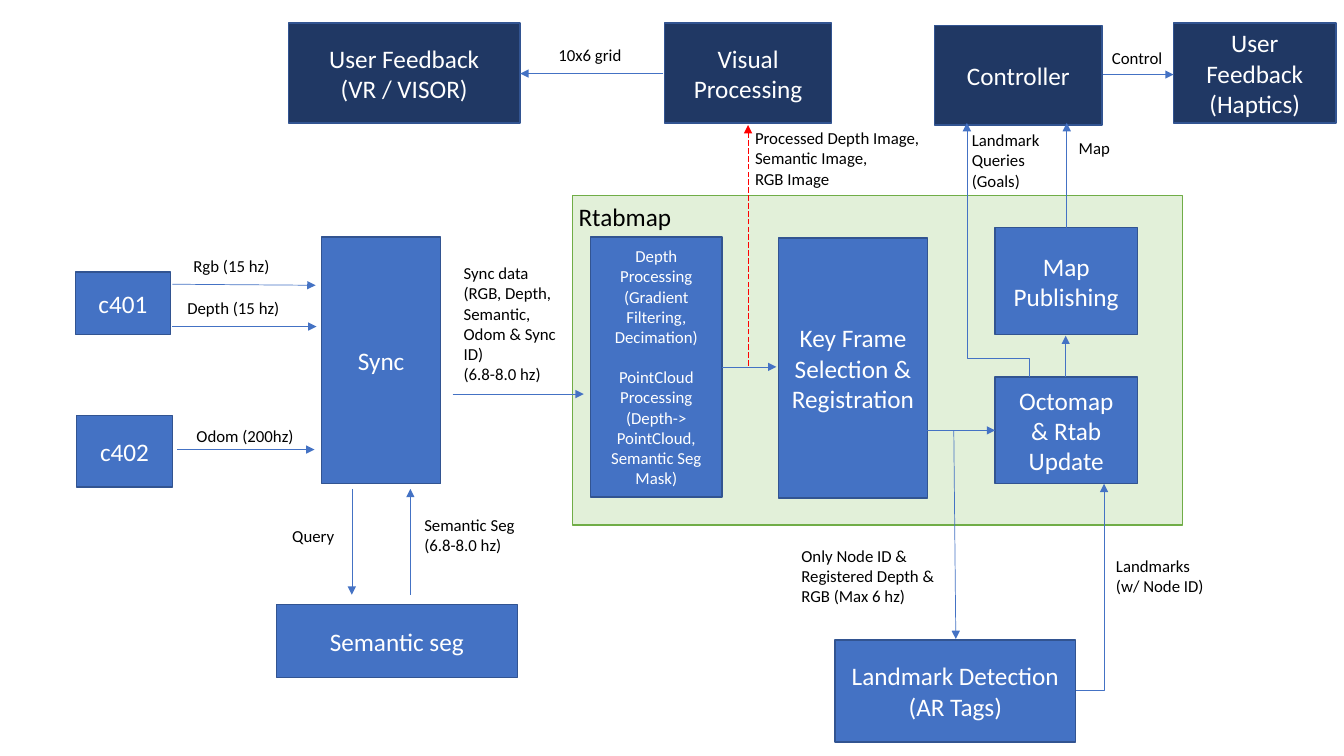
from lxml import etree
from pptx import Presentation
from pptx import util as u
from pptx.dml.color import RGBColor
from pptx.enum import dml, shapes, text
from pptx.oxml.ns import qn

COLORS = {
    "blue": "4472C4", "navy": "203864", "outline": "325491",
    "pale green": "E2F0D9", "green": "70AD47",
    "red": "FF0000", "white": "FFFFFF", "black": "000000",
}


def write(shape, content, size, color, alignment):
    frame = shape.text_frame
    frame.word_wrap = True
    gap = False
    paragraph = frame.paragraphs[0]
    for index, line in enumerate(content.split("\n")):
        if not line:
            gap = True
            continue
        if index:
            paragraph = frame.add_paragraph()
        paragraph.alignment = alignment
        if gap:
            paragraph.space_before = u.Pt(size * 1.2)
            gap = False
        run = paragraph.add_run()
        run.text = line
        run.font.name = "Calibri"
        run.font.size = u.Pt(size)
        run.font.color.rgb = RGBColor.from_string(COLORS[color])


def connect(kind, start, end, color="blue"):
    connector = slide.shapes.add_connector(kind, *(u.Inches(value) for value in start + end))
    connector.line.color.rgb = RGBColor.from_string(COLORS[color])
    connector.line.width = u.Pt(0.5)
    if color == "red":
        connector.line.dash_style = dml.MSO_LINE.LONG_DASH
    properties = connector.element.spPr
    etree.SubElement(properties.find(qn("a:ln")), qn("a:tailEnd"), type="triangle")
    etree.SubElement(properties, qn("a:effectLst"))
    return properties


presentation = Presentation()
presentation.slide_width = u.Inches(13.33)
presentation.slide_height = u.Inches(7.5)
slide = presentation.slides.add_slide(presentation.slide_layouts[6])

depth_steps = (
    "Depth Processing\n(Gradient Filtering, Decimation)\n\n"
    "PointCloud Processing\n(Depth-> PointCloud, Semantic Seg\nMask)"
)
boxes = [
    ("", 5.68, 1.94, 6.05, 3.27, "pale green", "green", 18),
    ("c401", 0.75, 2.7, 0.94, 0.62, "blue", "outline", 18),
    ("c402", 0.76, 4.12, 0.95, 0.71, "blue", "outline", 18),
    ("Sync", 3.19, 2.35, 1.18, 2.45, "blue", "outline", 18),
    ("Semantic seg", 2.74, 6, 2.39, 0.72, "blue", "outline", 18),
    (depth_steps, 5.86, 2.35, 1.3, 2.58, "blue", "outline", 12),
    ("Key Frame Selection & Registration", 7.72, 2.36, 1.48, 2.58, "blue", "outline", 18),
    ("Octomap\n& Rtab\nUpdate", 9.87, 3.74, 1.41, 1.06, "blue", "outline", 18),
    ("Map\nPublishing", 9.87, 2.26, 1.41, 1.06, "blue", "outline", 18),
    ("Landmark Detection\n(AR Tags)", 8.28, 6.35, 2.39, 1.01, "blue", "outline", 18),
    ("User Feedback\n(VR / VISOR)", 2.86, 0.23, 2.3, 0.99, "navy", "outline", 18),
    ("Visual Processing", 6.59, 0.23, 1.66, 0.99, "navy", "outline", 18),
    ("Controller", 9.27, 0.25, 1.66, 0.99, "navy", "outline", 18),
    ("User Feedback\n(Haptics)", 11.64, 0.23, 1.61, 0.99, "navy", "outline", 18),
]
for content, left, top, width, height, fill, outline, size in boxes:
    shape = slide.shapes.add_shape(
        shapes.MSO_SHAPE.RECTANGLE,
        u.Inches(left), u.Inches(top), u.Inches(width), u.Inches(height),
    )
    shape.shadow.inherit = False
    shape.fill.solid()
    shape.fill.fore_color.rgb = RGBColor.from_string(COLORS[fill])
    shape.line.color.rgb = RGBColor.from_string(COLORS[outline])
    shape.line.width = u.Pt(1)
    shape.text_frame.vertical_anchor = text.MSO_ANCHOR.MIDDLE
    write(shape, content, size, "white", text.PP_ALIGN.CENTER)

arrows = [
    ((1.71, 2.82), (3.13, 2.83)),
    ((1.71, 3.24), (3.14, 3.24)),
    ((1.76, 4.46), (3.12, 4.46)),
    ((3.49, 4.85), (3.49, 5.9)),
    ((4.07, 5.9), (4.07, 4.85)),
    ((4.49, 3.91), (5.79, 3.91)),
    ((7.16, 3.64), (7.7, 3.64)),
    ((9.12, 4.27), (9.87, 4.27)),
    ((9.46, 4.27), (9.48, 6.34)),
    ((10.57, 3.74), (10.57, 3.33)),
    ((10.58, 2.26), (10.58, 1.22)),
    ((6.58, 0.73), (5.16, 0.73)),
    ((10.94, 0.74), (11.64, 0.74)),
    ((7.42, 3.63), (7.42, 1.24), "red"),
]
for arrow in arrows:
    connect(shapes.MSO_CONNECTOR.STRAIGHT, *arrow)

landmarks_elbow = connect(shapes.MSO_CONNECTOR.ELBOW, (10.67, 6.85), (10.95, 4.8))
landmarks_elbow.find(qn("a:prstGeom")).set("prst", "bentConnector2")

queries_elbow = connect(shapes.MSO_CONNECTOR.ELBOW, (8.64, 2.79), (11.16, 2.17))
queries_elbow.find(qn("a:xfrm")).set("rot", str(270 * 60000))
geometry = queries_elbow.find(qn("a:prstGeom"))
adjustments = geometry.find(qn("a:avLst"))
if adjustments is None:
    adjustments = etree.SubElement(geometry, qn("a:avLst"))
etree.SubElement(adjustments, qn("a:gd"), name="adj1", fmla="val 7300")

labels = [
    ("Rtabmap", 5.64, 1.95, 1.56, 0.4, 18),
    ("Rgb (15 hz)", 1.82, 2.49, 1, 0.3, 12),
    ("Depth (15 hz)", 1.76, 2.9, 1.14, 0.3, 12),
    ("Odom (200hz)", 1.85, 4.17, 1.2, 0.3, 12),
    ("Sync data\n(RGB, Depth,\nSemantic, Odom & Sync ID)\n(6.8-8.0 hz)", 4.5, 2.56, 1.21, 1.31, 12),
    ("Semantic Seg (6.8-8.0 hz)", 4.11, 5.06, 1.33, 0.5, 12),
    ("Query", 2.8, 5.17, 0.69, 0.3, 12),
    ("Only Node ID &\nRegistered Depth & RGB (Max 6 hz)", 7.85, 5.36, 1.6, 0.71, 12),
    ("Landmarks (w/ Node ID)", 10.97, 5.46, 1.12, 0.5, 12),
    ("Map", 10.6, 1.32, 0.71, 0.3, 12),
    ("Landmark\nQueries\n(Goals)", 9.54, 1.24, 0.99, 0.71, 12),
    ("Processed Depth Image,\nSemantic Image,\nRGB Image", 7.39, 1.22, 1.86, 0.71, 12),
    ("10x6 grid", 5.44, 0.39, 0.96, 0.3, 12),
    ("Control", 10.93, 0.42, 0.75, 0.3, 12),
]
for content, left, top, width, height, size in labels:
    label = slide.shapes.add_textbox(
        u.Inches(left), u.Inches(top), u.Inches(width), u.Inches(height)
    )
    write(label, content, size, "black", text.PP_ALIGN.LEFT)

presentation.save("out.pptx")
